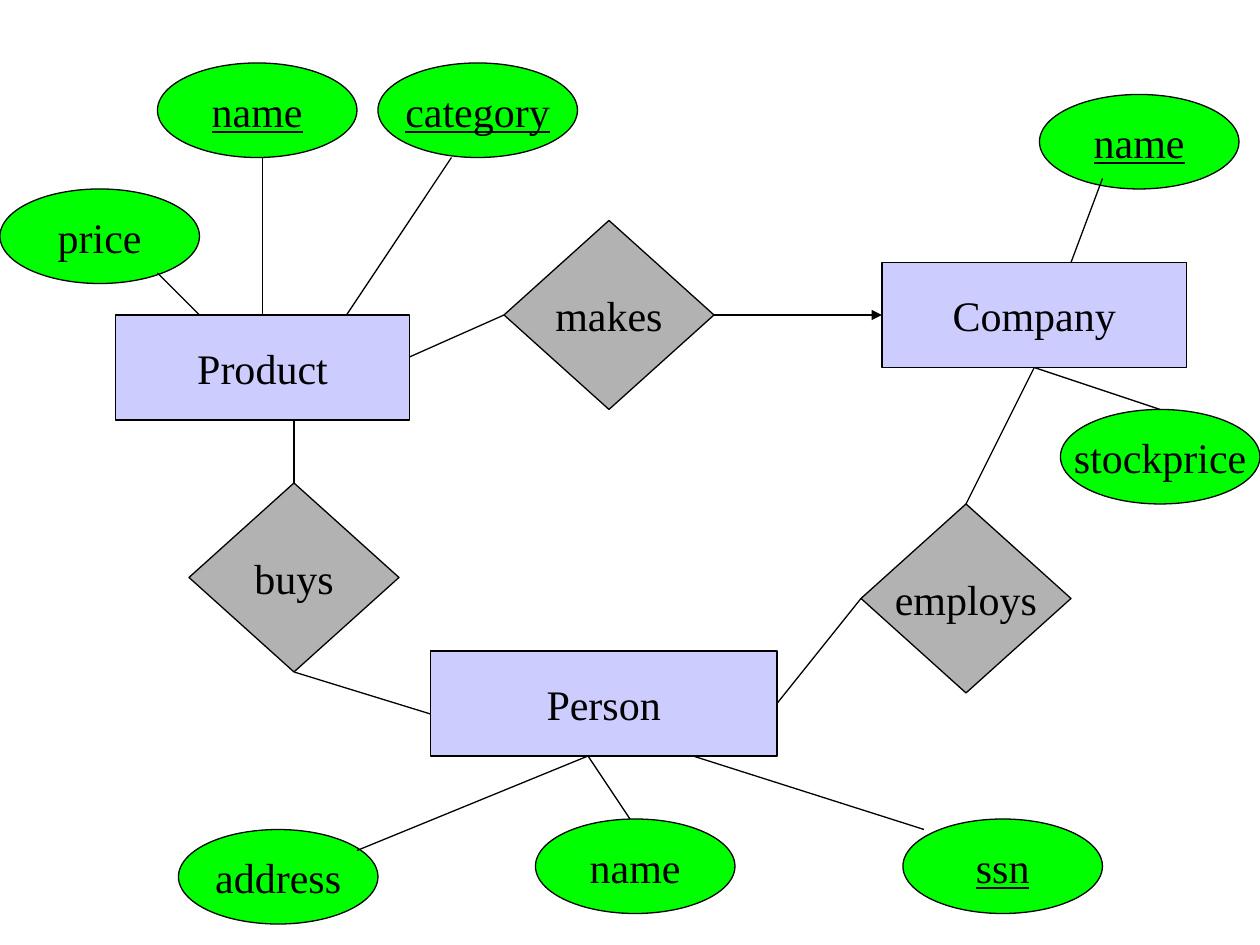
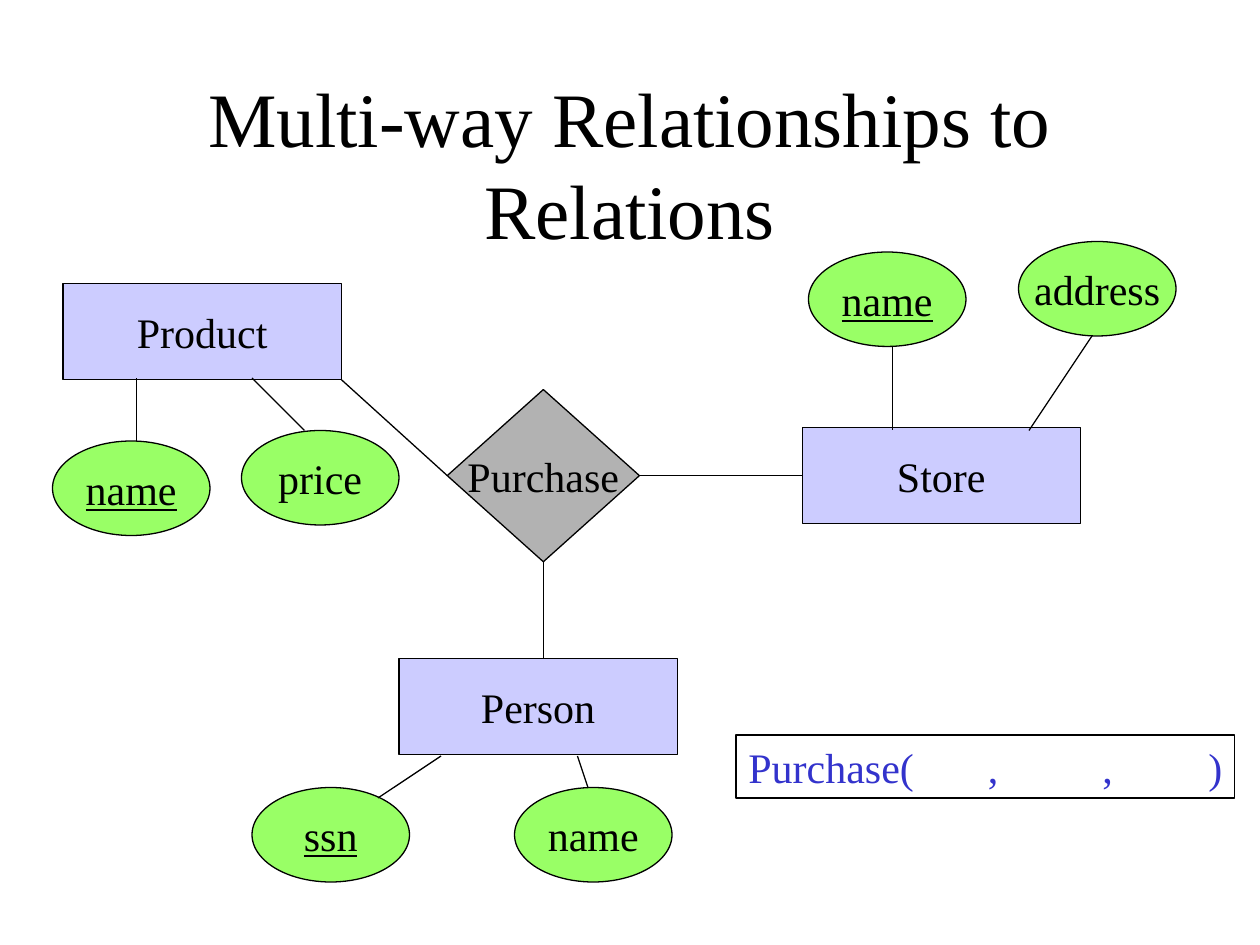
from pptx import Presentation
from pptx.dml.color import RGBColor
from pptx.enum.shapes import MSO_CONNECTOR, MSO_SHAPE
from pptx.enum.text import MSO_ANCHOR, PP_ALIGN
from pptx.oxml.ns import qn
from pptx.util import Inches, Pt
from lxml.etree import SubElement

COLUMNS, ROWS = 120, 90
WIDTH, HEIGHT = Inches(10), Inches(7.5)

BLACK = RGBColor(0x00, 0x00, 0x00)
WHITE = RGBColor(0xFF, 0xFF, 0xFF)
LAVENDER = RGBColor(0xCC, 0xCC, 0xFF)
GREY = RGBColor(0xB2, 0xB2, 0xB2)
GREEN = RGBColor(0x00, 0xFF, 0x00)
LIME = RGBColor(0x99, 0xFF, 0x66)
BLUE = RGBColor(0x33, 0x33, 0xCC)

BODY = {"name": "Times New Roman", "size": Pt(24)}
TITLE = BODY | {"size": Pt(44)}
LINE = Pt(0.75)


def col(n):
    return round(n * WIDTH / COLUMNS)


def row(n):
    return round(n * HEIGHT / ROWS)


def place(x, y, w, h):
    return col(x), row(y), col(w), row(h)


def write(tf, text, style=BODY, color=BLACK, underline=False,
          align=PP_ALIGN.CENTER, wrap=False):
    tf.word_wrap = wrap
    tf.vertical_anchor = MSO_ANCHOR.MIDDLE
    p = tf.paragraphs[0]
    p.alignment = align
    r = p.add_run()
    r.text = text
    for key, value in style.items():
        setattr(r.font, key, value)
    r.font.color.rgb = color
    if underline:
        r.font.underline = True
    return p


def box(s, kind, fill, x, y, w, h):
    sp = s.shapes.add_shape(kind, *place(x, y, w, h))
    sp.shadow.inherit = False
    sp.fill.solid()
    sp.fill.fore_color.rgb = fill
    sp.line.color.rgb = BLACK
    sp.line.width = LINE
    return sp


def entity(s, text, *area):
    write(box(s, MSO_SHAPE.RECTANGLE, LAVENDER, *area).text_frame, text)


def relationship(s, text, *area):
    write(box(s, MSO_SHAPE.DIAMOND, GREY, *area).text_frame, text)


def attributes(s, fill, w, items):
    for text, x, y, is_key in items:
        sp = box(s, MSO_SHAPE.OVAL, fill, x, y, w, 9)
        write(sp.text_frame, text, underline=is_key)


def link(s, x1, y1, x2, y2, arrow=False):
    line = s.shapes.add_connector(MSO_CONNECTOR.STRAIGHT,
                                  col(x1), row(y1), col(x2), row(y2))
    line.line.color.rgb = BLACK
    line.line.width = LINE
    if arrow:
        SubElement(line.line._get_or_add_ln(), qn("a:tailEnd"), type="triangle")
    SubElement(line._element.spPr, qn("a:effectLst"))


def title(s, text):
    tf = s.shapes.add_textbox(*place(9, 8, 102, 15)).text_frame
    write(tf, text, TITLE, wrap=True)


def relation(s, text, stops, *area):
    tf = box(s, MSO_SHAPE.RECTANGLE, WHITE, *area).text_frame
    tf.margin_right = 0
    p = write(tf, text, color=BLUE, align=PP_ALIGN.LEFT, wrap=True)
    tabs = SubElement(p._p.get_or_add_pPr(), qn("a:tabLst"))
    for stop in stops:
        SubElement(tabs, qn("a:tab"), pos=str(Inches(stop)), algn="l")


def company_diagram(s):
    attributes(s, GREEN, 19, [
        ("address", 17, 79, False), ("name", 51, 78, False),
        ("ssn", 86, 78, True), ("name", 15, 6, True),
        ("category", 36, 6, True), ("stockprice", 101, 39, False),
        ("name", 99, 9, True), ("price", 0, 18, False)])
    for text, x, y, w in [("Person", 41, 62, 33), ("Company", 84, 25, 29),
                          ("Product", 11, 30, 28)]:
        entity(s, text, x, y, w, 10)
    for text, x, y in [("buys", 18, 46), ("makes", 48, 21), ("employs", 82, 48)]:
        relationship(s, text, x, y, 20, 18)
    link(s, 68, 30, 84, 30, arrow=True)
    for ends in [(19, 30, 15, 26), (25, 30, 25, 15), (33, 30, 43, 15),
                 (48, 30, 39, 34), (28, 46, 28, 40), (28, 64, 41, 68),
                 (102, 25, 105, 17), (82, 57, 74, 67), (56, 72, 34, 81),
                 (56, 72, 60, 78), (66, 72, 88, 79), (92, 48, 98.5, 35),
                 (98.5, 35, 110.5, 39)]:
        link(s, *ends)


def purchase_diagram(s):
    title(s, "Multi-way Relationships to Relations")
    relationship(s, "Purchase", 42.6, 37.1, 18.3, 16.4)
    for text, x, y in [("Product", 6, 27), ("Person", 38, 62.7),
                       ("Store", 76.4, 40.7)]:
        entity(s, text, x, y, 26.5, 9.15)
    attributes(s, LIME, 15, [
        ("name", 5, 42, True), ("price", 23, 41, False),
        ("ssn", 24, 75, True), ("name", 49, 75, False),
        ("name", 77, 24, True), ("address", 97, 23, False)])
    for ends in [(60.9, 45.3, 76.4, 45.3), (51.75, 53.5, 51.75, 62.7),
                 (32.5, 36.15, 42.6, 45.3), (13, 36, 13, 42),
                 (24, 36, 29, 41), (85, 33, 85, 41), (104, 32, 98, 41),
                 (42, 72, 36, 76), (55, 72, 56, 75)]:
        link(s, *ends)
    relation(s, "Purchase(\t,\t,\t)", [1.9, 2.81, 3.65], 70.1, 70, 47.5, 6)


def main():
    prs = Presentation()
    prs.slide_width, prs.slide_height = WIDTH, HEIGHT
    for draw in (company_diagram, purchase_diagram):
        draw(prs.slides.add_slide(prs.slide_layouts[6]))
    prs.save("out.pptx")


if __name__ == "__main__":
    main()
